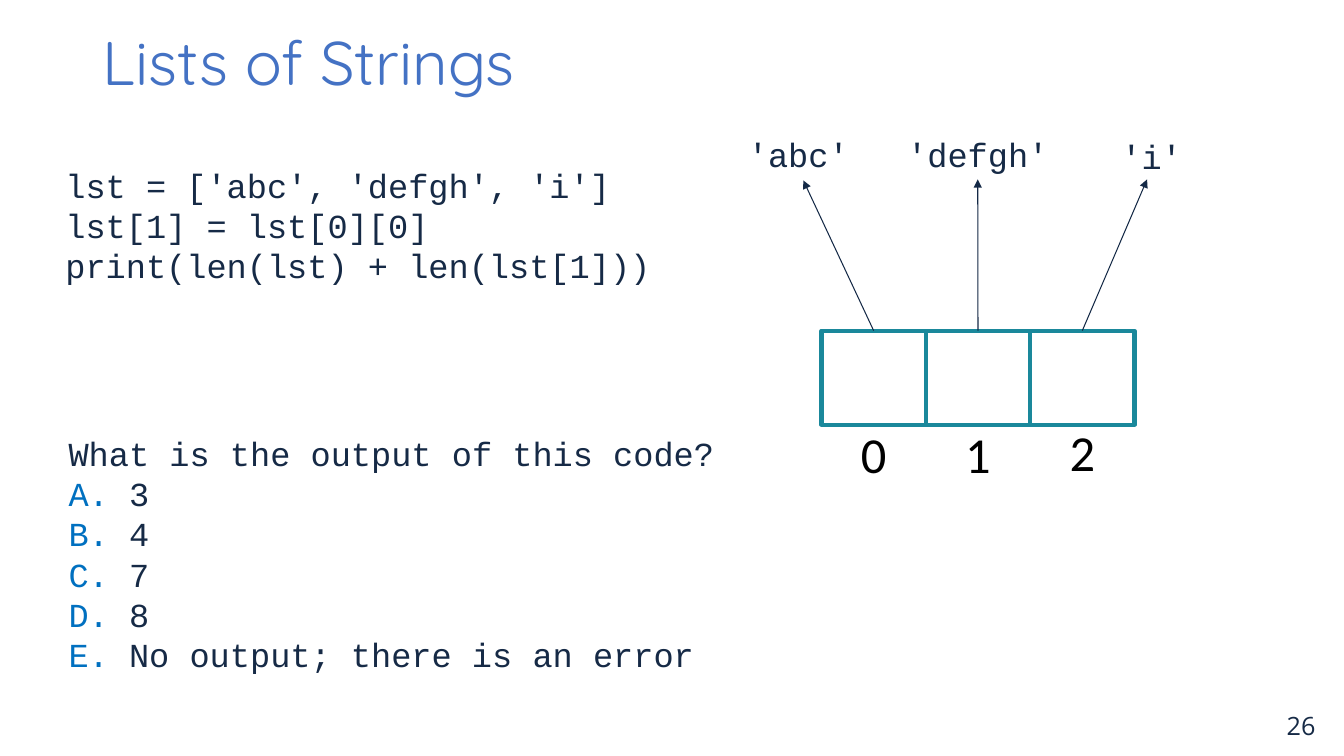
import lxml.etree
import pptx
import pptx.util
import pptx.dml.color
import pptx.enum.shapes
import pptx.enum.text
import pptx.oxml.ns

HUES = {"ink": "162A46", "title": "4472C4", "mark": "0070C0",
        "cell": "1A889B", "arrow": "142946", "black": "000000"}
CODE = "Courier New"
ALIGN = pptx.enum.text.PP_ALIGN
COLS, ROWS = 80, 45
WIDE, HIGH = pptx.util.Inches(13.33), pptx.util.Inches(7.5)


def grid(col, row):
    """Turn a grid column and row into slide lengths."""
    return round(WIDE * col / COLS), round(HIGH * row / ROWS)


def place(shape, box):
    """Move a shape to a grid box."""
    shape.left, shape.top = grid(*box[:2])
    shape.width, shape.height = grid(*box[2:])


def tint(name):
    """Look up a colour by name."""
    return pptx.dml.color.RGBColor.from_string(HUES[name])


def child(node, tag):
    """Append an XML element to a node."""
    return lxml.etree.SubElement(node, pptx.oxml.ns.qn(tag))


def write(frame, lines, font, size, align=ALIGN.LEFT, pitch=None):
    """Fill a text frame with lines made of (text, colour) runs."""
    frame.word_wrap = True
    frame.auto_size = pptx.enum.text.MSO_AUTO_SIZE.NONE
    for num, line in enumerate(lines):
        para = frame.add_paragraph() if num else frame.paragraphs[0]
        para.alignment = align
        para.space_before = pptx.util.Pt(0)
        if pitch:
            para.line_spacing = pptx.util.Pt(pitch)
        for text, hue in line:
            run = para.add_run()
            run.text = text
            run.font.name = font
            run.font.size = pptx.util.Pt(size)
            run.font.color.rgb = tint(hue)


def label(slide, box, lines, font, size, align=ALIGN.LEFT, pitch=None):
    """Add a text box in a grid box."""
    shape = slide.shapes.add_textbox(0, 0, 0, 0)
    place(shape, box)
    write(shape.text_frame, lines, font, size, align, pitch)


def head(slide, box):
    """Set the slide title."""
    title = slide.shapes.title
    place(title, box)
    title.text_frame.vertical_anchor = pptx.enum.text.MSO_ANCHOR.MIDDLE
    write(title.text_frame, [[("Lists of Strings", "title")]], "Quicksand", 44)


def code(slide, box):
    """Show the program."""
    lines = ["lst = ['abc', 'defgh', 'i']", "lst[1] = lst[0][0]",
             "print(len(lst) + len(lst[1]))"]
    label(slide, box, [[(line, "ink")] for line in lines], CODE, 24, pitch=28.8)


def quiz(slide, box):
    """Ask the question and list its answers in the body placeholder."""
    answers = ["3", "4", "7", "8", "No output; there is an error"]
    lines = [[("What is the output of this code?", "ink")]]
    lines += [[(f"{mark}. ", "mark"), (text, "ink")]
              for mark, text in zip("ABCDE", answers)]
    body = slide.placeholders[1]
    place(body, box)
    write(body.text_frame, lines, CODE, 24, pitch=28.8)
    for para in body.text_frame.paragraphs:
        prop = para._p.get_or_add_pPr()
        prop.set("marL", str(pptx.util.Inches(0.03)))
        prop.set("indent", "0")
        child(prop, "a:buNone")


def arrow(slide, start, end):
    """Draw an arrow between two grid points."""
    line = slide.shapes.add_connector(
        pptx.enum.shapes.MSO_CONNECTOR.STRAIGHT, *grid(*start), *grid(*end))
    line.line.color.rgb = tint("arrow")
    line.line.width = pptx.util.Pt(0.75)
    child(line.line._get_or_add_ln(), "a:tailEnd").set("type", "triangle")
    child(line._element.spPr, "a:effectLst")


def array(slide, box):
    """Draw list cells with indexes below and arrows to their strings."""
    left, top, wide, high = box
    side, tall = 6.21, 5.6
    first, base = left + wide - 23.52, top + 12
    items = [("'abc'", 0, 7.74, 0, 4.17, 3.06),
             ("'defgh'", 9.69, 9.72, 0, 14.55, 3),
             ("'i'", 21.03, 7.74, 0.12, 24.63, 3)]
    for num, (text, shift, span, drop, tip, rise) in enumerate(items):
        col = first + num * side
        cell = slide.shapes.add_shape(
            pptx.enum.shapes.MSO_SHAPE.RECTANGLE, 0, 0, 0, 0)
        place(cell, (col, base, side, tall))
        cell.shadow.inherit = False
        cell.fill.background()
        cell.line.color.rgb = tint("cell")
        cell.line.width = pptx.util.Pt(3)
        label(slide, (col, top + high - 4.26 - drop, side, 4.26),
              [[(str(num), "black")]], "Calibri", 36, ALIGN.CENTER)
        label(slide, (left + shift, top + drop, span, 3),
              [[(text, "ink")]], CODE, 24, ALIGN.CENTER, 28.8)
        arrow(slide, (col + side / 2, base), (left + tip, top + rise))


def main():
    """Build and save the slide."""
    deck = pptx.Presentation()
    deck.slide_width, deck.slide_height = WIDE, HIGH
    slide = deck.slides.add_slide(deck.slide_layouts[1])
    head(slide, (5.5, 1, 69, 5.28))
    code(slide, (3.3, 9.5, 42, 7.86))
    quiz(slide, (3.3, 25.44, 40, 17.58))
    array(slide, (43.65, 7.68, 28.77, 21.48))
    label(slide, (76, 42, 3, 2.4), [[("26", "ink")]], "Open Sans", 18)
    deck.save("out.pptx")


if __name__ == "__main__":
    main()
